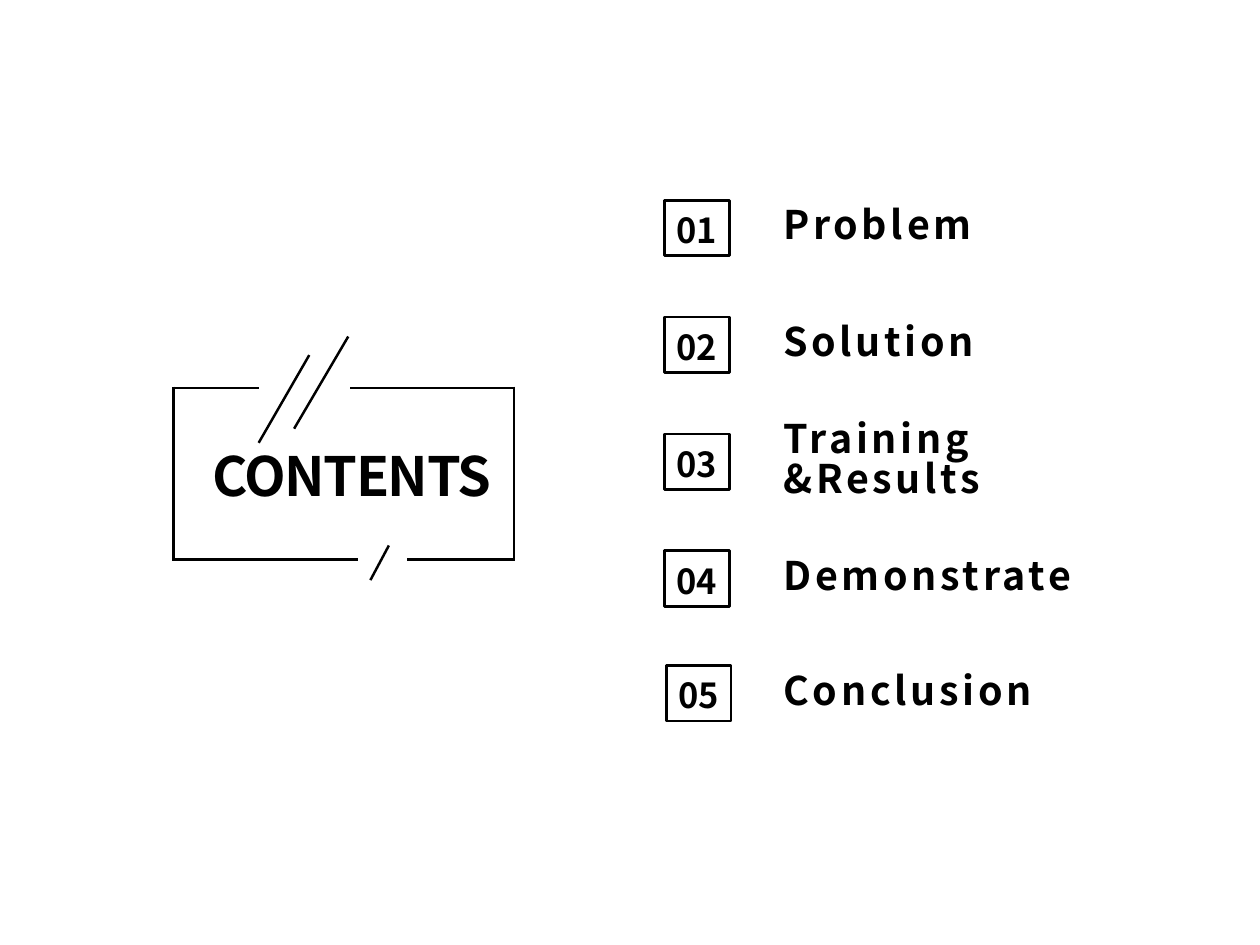
from dataclasses import dataclass
from lxml import etree
from pptx import Presentation
from pptx import util as u
from pptx.dml.color import RGBColor
from pptx.enum import shapes, text
from pptx.oxml.ns import qn


@dataclass(frozen=True)
class Theme:
    """Colours, type sizes and line widths of the slide, in points."""
    ink: RGBColor = RGBColor(0, 0, 0)
    paper: RGBColor = RGBColor(255, 255, 255)
    font: str = "Noto Sans CJK SC"
    title_size: float = 44
    number_size: float = 28
    label_size: float = 32
    frame_line: float = 2
    number_line: float = 2.25


THEME = Theme()
FRAME_BOX = (141, 315.4, 276.6, 139.6)
AGENDA_BOX = (540, 162.7, 422.7, 425.5)
ROW_PITCH = 95.04
AGENDA = [
    (["Problem"], (0, 0)),
    (["Solution"], (0, 0)),
    (["Training", "&Results"], (0, 0)),
    (["Demonstrate"], (0, 0)),
    (["Conclusion"], (1.4, -2.1)),
]


def write_lines(shape, lines, size, align, tracking=0, spacing=1.0, wrap=True, top_inset=0):
    """Fill a shape with bold paragraphs, centred vertically."""
    frame = shape.text_frame
    frame.text = "\n".join(lines)
    frame.auto_size = text.MSO_AUTO_SIZE.NONE
    frame.word_wrap = wrap
    frame.vertical_anchor = text.MSO_ANCHOR.MIDDLE
    frame.margin_left = frame.margin_right = frame.margin_bottom = 0
    frame.margin_top = u.Pt(top_inset)
    for paragraph in frame.paragraphs:
        paragraph.alignment = align
        paragraph.line_spacing = spacing
        font = paragraph.font
        font.name, font.size, font.bold = THEME.font, u.Pt(size), True
        font.color.rgb = THEME.ink
        font._rPr.set("spc", str(round(tracking * 100)))


def draw_line(slide, start, end):
    """Draw one straight line of the frame without a shadow."""
    points = [u.Pt(value) for value in (*start, *end)]
    connector = slide.shapes.add_connector(shapes.MSO_CONNECTOR.STRAIGHT, *points)
    connector.line.color.rgb = THEME.ink
    connector.line.width = u.Pt(THEME.frame_line)
    etree.SubElement(connector._element.spPr, qn("a:effectLst"))


def add_title_frame(slide, box):
    """Draw the broken frame with its slashes and place the title inside."""
    left, top, width, height = box
    overhang = THEME.frame_line / 2
    segments = [
        ((0, 0), (69.5, 0)),
        ((143.5, 0), (width, 0)),
        ((0, height), (150, height)),
        ((190, height), (width, height)),
        ((0, -overhang), (0, height + overhang)),
        ((width, -overhang), (width, height + overhang)),
        ((175, 128.1), (160, 156.2)),
        ((110.3, -26.7), (69.2, 44.6)),
        ((142, -41.8), (98, 33.1)),
    ]
    for segment in segments:
        draw_line(slide, *((left + x, top + y) for x, y in segment))
    title = slide.shapes.title
    title.left, title.top = u.Pt(left + 25), u.Pt(top + 38)
    title.width, title.height = u.Pt(240), u.Pt(66)
    write_lines(title, ["CONTENTS"], THEME.title_size, text.PP_ALIGN.CENTER,
                tracking=-1.2, wrap=False)


def add_agenda_row(slide, box, number, lines, nudge):
    """Place a numbered square and the label beside it."""
    left, top, width, height = box
    shift_x, shift_y = nudge
    square = slide.shapes.add_shape(
        shapes.MSO_SHAPE.RECTANGLE, u.Pt(left + shift_x), u.Pt(top + shift_y),
        u.Pt(52.6), u.Pt(height))
    square.shadow.inherit = False
    square.fill.background()
    square.line.color.rgb = THEME.ink
    square.line.width = u.Pt(THEME.number_line)
    write_lines(square, [f"{number:02}"], THEME.number_size, text.PP_ALIGN.CENTER,
                wrap=False, top_inset=2.9)
    label_offset, overhang = 96.5, 5.8
    label = slide.shapes.add_textbox(
        u.Pt(left + label_offset), u.Pt(top + shift_y - overhang),
        u.Pt(width - label_offset), u.Pt(height + 2 * overhang))
    write_lines(label, lines, THEME.label_size, text.PP_ALIGN.LEFT,
                tracking=3, spacing=0.84)


def add_agenda(slide, box):
    """Stack the agenda rows at an equal pitch."""
    left, top, width, height = box
    row_height = height - ROW_PITCH * (len(AGENDA) - 1)
    for index, (lines, nudge) in enumerate(AGENDA):
        row = (left, top + index * ROW_PITCH, width, row_height)
        add_agenda_row(slide, row, index + 1, lines, nudge)


def main():
    """Build the contents slide and save it."""
    presentation = Presentation()
    presentation.slide_width, presentation.slide_height = u.Pt(1023.84), u.Pt(768.24)
    slide = presentation.slides.add_slide(presentation.slide_layouts.get_by_name("Title Only"))
    slide.background.fill.solid()
    slide.background.fill.fore_color.rgb = THEME.paper
    add_title_frame(slide, FRAME_BOX)
    add_agenda(slide, AGENDA_BOX)
    presentation.save("out.pptx")


if __name__ == "__main__":
    main()
